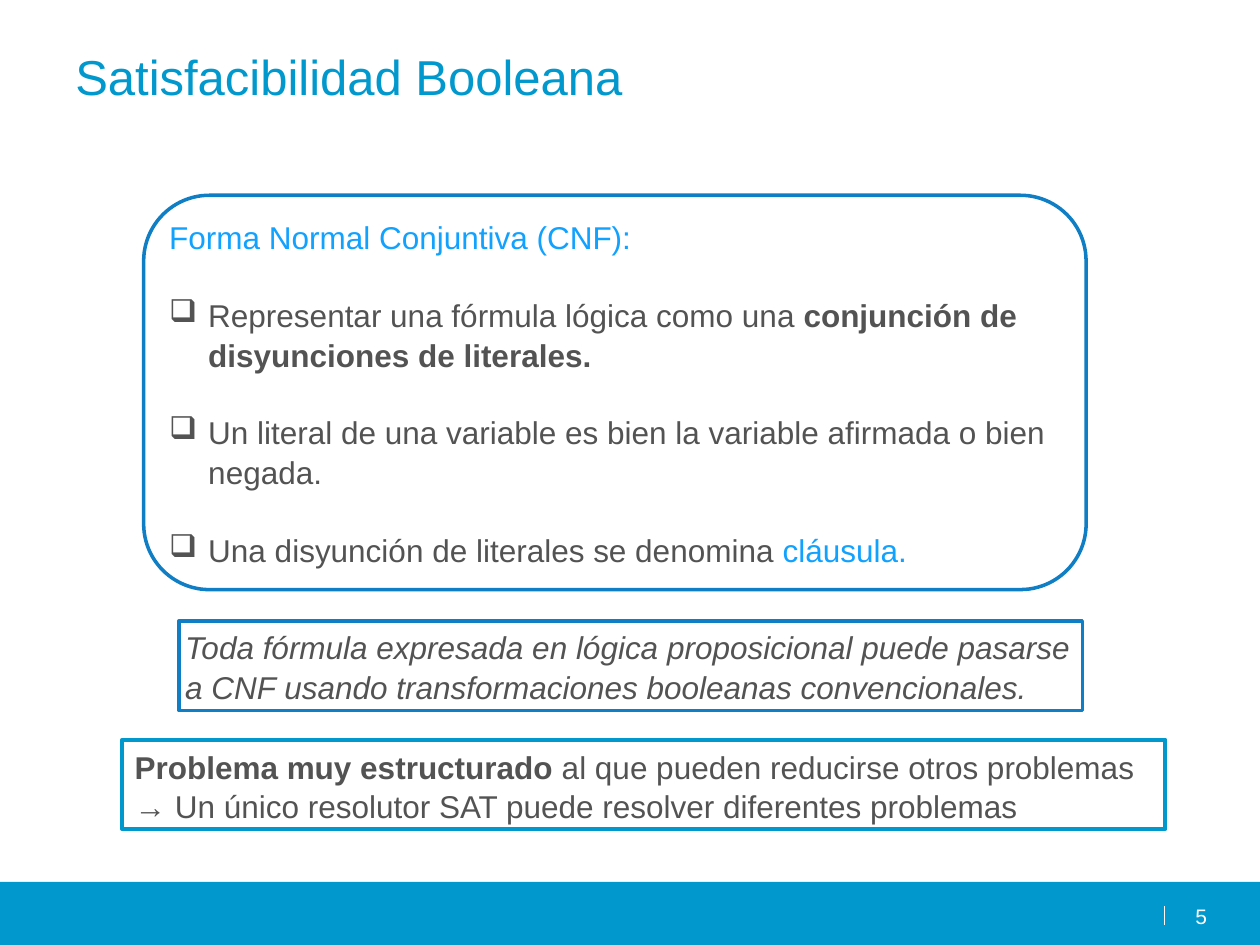
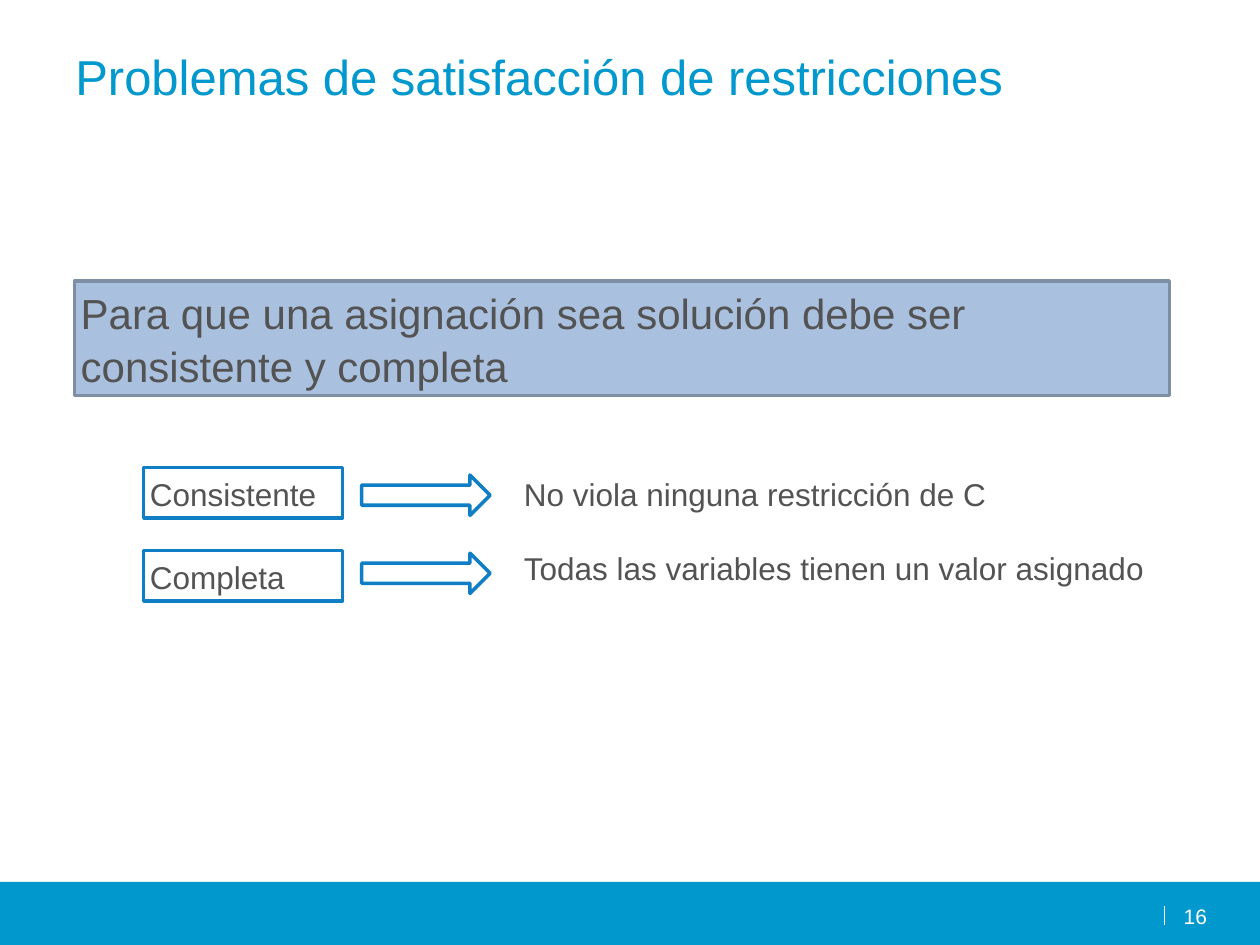
"""Build two slides on Boolean satisfiability and constraint satisfaction."""
from lxml import etree
from pptx import Presentation
from pptx.dml.color import RGBColor
from pptx.enum.shapes import MSO_CONNECTOR, MSO_SHAPE
from pptx.enum.text import MSO_ANCHOR, PP_ALIGN
from pptx.oxml.ns import qn
from pptx.util import Inches, Pt

BAND, BORDER, ACCENT, TEXT, WHITE = "0098CD", "0F7EC5", "11A1FF", "535353", "FFFFFF"
PANEL, PANEL_BORDER = "AAC0DF", "7E8EA5"
FONT = "Arial"
rgb = RGBColor.from_string


def write(shape, paragraphs, size=18, color=TEXT, inset=(0.1, 0.05),
          anchor=MSO_ANCHOR.TOP, align=PP_ALIGN.LEFT, spacing=1.05):
    """Fill a shape with paragraphs made of (text, style, color) runs."""
    frame = shape.text_frame
    frame.word_wrap = True
    frame.vertical_anchor = anchor
    frame.margin_left = frame.margin_right = Inches(inset[0])
    frame.margin_top = frame.margin_bottom = Inches(inset[1])
    for index, pieces in enumerate(paragraphs):
        paragraph = frame.add_paragraph() if index else frame.paragraphs[0]
        paragraph.alignment = align
        paragraph.line_spacing = spacing
        for text, style, run_color in pieces:
            run = paragraph.add_run()
            run.text = text
            run.font.name = FONT
            run.font.size = Pt(size)
            run.font.bold = style == "bold"
            run.font.italic = style == "italic"
            run.font.color.rgb = rgb(run_color or color)


def add_shape(slide, kind, position, fill=WHITE, border=BORDER, width=2):
    """Add a flat preset shape at left, top, width and height in inches."""
    shape = slide.shapes.add_shape(kind, *map(Inches, position))
    shape.shadow.inherit = False
    shape.fill.solid()
    shape.fill.fore_color.rgb = rgb(fill)
    if border:
        shape.line.color.rgb = rgb(border)
        shape.line.width = Pt(width)
    else:
        shape.line.fill.background()
    return shape


presentation = Presentation()
presentation.slide_width = Inches(10)
presentation.slide_height = Inches(7.5)

slides = []
for title, number in [("Satisfacibilidad Booleana", "5"),
                      ("Problemas de satisfacción de restricciones", "16")]:
    slide = presentation.slides.add_slide(presentation.slide_layouts[6])
    add_shape(slide, MSO_SHAPE.RECTANGLE, (0, 7, 10, 0.5), BAND, None)
    divider = slide.shapes.add_connector(
        MSO_CONNECTOR.STRAIGHT, Inches(9.24), Inches(7.34), Inches(9.24), Inches(7.19))
    divider.line.color.rgb = rgb(WHITE)
    divider.line.width = Pt(0.75)
    etree.SubElement(divider.element.spPr, qn("a:effectLst"))
    title_box = slide.shapes.add_textbox(Inches(0.5), Inches(0.3), Inches(9), Inches(1.25))
    write(title_box, [[(title, "", BAND)]], size=28)
    number_box = slide.shapes.add_textbox(
        Inches(9.28), Inches(7.17), Inches(0.3), Inches(0.19))
    write(number_box, [[(number, "", WHITE)]], size=12, inset=(0, 0),
          align=PP_ALIGN.RIGHT, spacing=1)
    slides.append(slide)
satisfiability, constraints = slides

boxed = {"inset": (0.05, 0.05), "anchor": MSO_ANCHOR.MIDDLE}

definition = add_shape(satisfiability, MSO_SHAPE.ROUNDED_RECTANGLE, (1.14, 1.55, 7.48, 3.13))
write(definition, [
    [("Forma Normal Conjuntiva (CNF):", "", ACCENT)],
    [("Representar una fórmula lógica como una ", "", None),
     ("conjunción de disyunciones de literales.", "bold", None)],
    [("Un literal de una variable es bien la variable afirmada o bien negada.", "", None)],
    [("Una disyunción de literales se denomina ", "", None), ("cláusula.", "", ACCENT)],
], **boxed)
for paragraph in definition.text_frame.paragraphs[1:]:
    paragraph.space_before = Pt(21.7)
    properties = paragraph._p.get_or_add_pPr()
    properties.set("marL", str(Inches(0.31)))
    properties.set("indent", str(-Inches(0.31)))
    etree.SubElement(properties, qn("a:buChar")).set("char", "❑")

conversion = add_shape(satisfiability, MSO_SHAPE.RECTANGLE, (1.42, 4.93, 7.17, 0.71))
write(conversion, [[("Toda fórmula expresada en lógica proposicional puede pasarse a CNF "
                     "usando transformaciones booleanas convencionales.", "italic", None)]],
      **boxed)

conclusion = add_shape(satisfiability, MSO_SHAPE.RECTANGLE, (0.97, 5.87, 8.28, 0.71),
                       border=BAND, width=2.25)
conclusion.fill.background()
write(conclusion, [
    [("Problema muy estructurado ", "bold", None),
     ("al que pueden reducirse otros problemas", "", None)],
    [("→ Un único resolutor SAT puede resolver diferentes problemas", "", None)],
])

statement = add_shape(constraints, MSO_SHAPE.RECTANGLE, (0.59, 2.23, 8.69, 0.91),
                      PANEL, PANEL_BORDER)
write(statement, [[("Para que una asignación sea solución debe ser consistente y completa",
                    "", None)]], size=24, **boxed)

for term, meaning, term_top, arrow_top, meaning_top in [
        ("Consistente", "No viola ninguna restricción de C", 3.71, 3.77, 3.71),
        ("Completa", "Todas las variables tienen un valor asignado", 4.37, 4.39, 4.29)]:
    term_box = add_shape(constraints, MSO_SHAPE.RECTANGLE, (1.14, term_top, 1.58, 0.4))
    write(term_box, [[(term, "", None)]], **boxed)
    add_shape(constraints, MSO_SHAPE.RIGHT_ARROW, (2.87, arrow_top, 1.02, 0.32))
    meaning_box = constraints.shapes.add_textbox(
        Inches(4.06), Inches(meaning_top), Inches(5.22), Inches(0.4))
    write(meaning_box, [[(meaning, "", None)]])

presentation.save("out.pptx")
